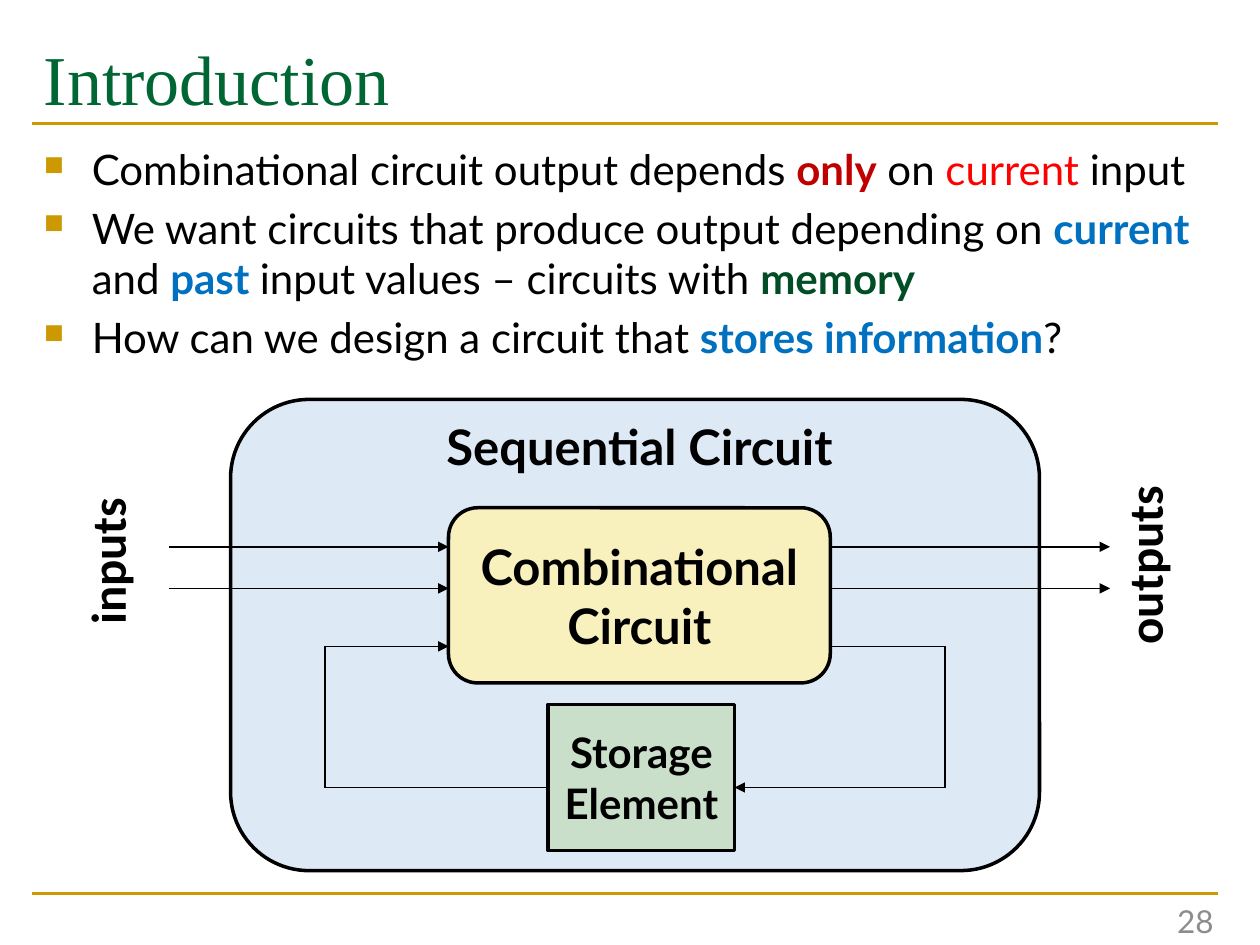
from pptx import Presentation
from pptx.dml.color import RGBColor
from pptx.enum.shapes import MSO_CONNECTOR, MSO_SHAPE
from pptx.enum.text import MSO_ANCHOR, PP_ALIGN
from pptx.oxml.ns import qn
from pptx.util import Inches, Pt
from lxml import etree

STRAIGHT = MSO_CONNECTOR.STRAIGHT
RECTANGLE, ROUNDED = MSO_SHAPE.RECTANGLE, MSO_SHAPE.ROUNDED_RECTANGLE
TOP, MIDDLE = MSO_ANCHOR.TOP, MSO_ANCHOR.MIDDLE
LEFT, CENTER, RIGHT = PP_ALIGN.LEFT, PP_ALIGN.CENTER, PP_ALIGN.RIGHT

BLACK = RGBColor(0x00, 0x00, 0x00)
GOLD = RGBColor(0xCC, 0x99, 0x00)
TITLE_GREEN = RGBColor(0x00, 0x66, 0x33)
DARK_GREEN = RGBColor(0x00, 0x4D, 0x26)
DARK_RED = RGBColor(0xC0, 0x00, 0x00)
RED = RGBColor(0xFF, 0x00, 0x00)
BLUE = RGBColor(0x00, 0x70, 0xC0)
GRAY = RGBColor(0x8C, 0x8C, 0x8C)
PALE_BLUE = RGBColor(0xDE, 0xE9, 0xF6)
PALE_YELLOW = RGBColor(0xF8, 0xF0, 0xBD)
PALE_GREEN = RGBColor(0xC9, 0xDF, 0xC9)

# Each run: text, colour, bold
BULLETS = [
    [("Combinational circuit output depends ", BLACK, False), ("only", DARK_RED, True),
     (" on ", BLACK, False), ("current", RED, False), (" input", BLACK, False)],
    [("We want circuits that produce output depending on ", BLACK, False),
     ("current ", BLUE, True), ("and ", BLACK, False), ("past ", BLUE, True),
     ("input values – circuits with ", BLACK, False), ("memory", DARK_GREEN, True)],
    [("How can we design a circuit that ", BLACK, False),
     ("stores information", BLUE, True), ("?", BLACK, False)],
]

# Boxes: left, top, width, height
SEQUENTIAL = (1.83, 3.17, 6.42, 3.74)
COMBINATIONAL = (3.56, 4.03, 3.03, 1.39)
STORAGE = (4.35, 5.59, 1.48, 1.16)
BLOCKS = [
    (ROUNDED, SEQUENTIAL, PALE_BLUE, "", 28),
    (ROUNDED, COMBINATIONAL, PALE_YELLOW, "Combinational\nCircuit", 28),
    (RECTANGLE, STORAGE, PALE_GREEN, "Storage\nElement", 24),
]
SIDE_LABELS = [("inputs", (0.22, 4.17, 1.25, 0.57)), ("outputs", (8.32, 4.2, 1.51, 0.57))]

RULE_LEFT, RULE_RIGHT = 0.25, 9.67
RULE_YS = (0.98, 7.09)
SIGNAL_YS = (4.34, 4.67)
SIGNAL_LENGTH = 2.22
FEEDBACK_Y, STORAGE_Y = 5.13, 6.25
FEEDBACK_LEFT, FEEDBACK_RIGHT = 2.58, 7.5


def set_text(shape, text, size, font_name, color, bold=False, align=LEFT, anchor=TOP, wrap=True):
    frame = shape.text_frame
    frame.text = text
    frame.word_wrap = wrap
    frame.vertical_anchor = anchor
    for paragraph in frame.paragraphs:
        paragraph.alignment = align
        format_font(paragraph.font, size, font_name, color, bold)


def format_font(font, size, name, color, bold):
    font.size, font.name, font.bold = Pt(size), name, bold
    font.color.rgb = color


def add_text(slide, box, *args, **kwargs):
    text_box = slide.shapes.add_textbox(*map(Inches, box))
    set_text(text_box, *args, **kwargs)
    return text_box


def add_bullet(paragraph):
    properties = paragraph._p.get_or_add_pPr()
    properties.set("marL", str(Inches(0.38)))
    properties.set("indent", str(-Inches(0.38)))
    color = etree.SubElement(properties, qn("a:buClr"))
    etree.SubElement(color, qn("a:srgbClr"), val=str(GOLD))
    etree.SubElement(properties, qn("a:buSzPct"), val="65000")
    etree.SubElement(properties, qn("a:buChar"), char="■")


def add_path(slide, points, color=BLACK, width=1, arrow=True):
    """Join the points with straight connectors; the last one may carry an arrowhead."""
    for start, end in zip(points, points[1:]):
        connector = slide.shapes.add_connector(STRAIGHT, *map(Inches, start + end))
        connector.line.color.rgb = color
        connector.line.width = Pt(width)
        if arrow and end == points[-1]:
            etree.SubElement(connector.line._get_or_add_ln(), qn("a:tailEnd"), type="triangle")
        etree.SubElement(connector._element.spPr, qn("a:effectLst"))


def add_bullets(slide):
    frame = slide.shapes.add_textbox(*map(Inches, (0.25, 1.09, 9.42, 5.68))).text_frame
    frame.word_wrap = True
    for index, runs in enumerate(BULLETS):
        paragraph = frame.add_paragraph() if index else frame.paragraphs[0]
        add_bullet(paragraph)
        if index:
            paragraph.space_before = Pt(4.8)
        for text, color, bold in runs:
            run = paragraph.add_run()
            run.text = text
            format_font(run.font, 24, "Lato", color, bold)


def add_diagram(slide):
    for kind, box, fill, text, size in BLOCKS:
        block = slide.shapes.add_shape(kind, *map(Inches, box))
        block.shadow.inherit = False
        block.fill.solid()
        block.fill.fore_color.rgb = fill
        block.line.color.rgb = BLACK
        block.line.width = Pt(2)
        if text:
            set_text(block, text, size, "Lato", BLACK, True, CENTER, MIDDLE, wrap=False)
    add_text(slide, (2.64, 3.26, 4.87, 0.66), "Sequential Circuit", 28, "Lato", BLACK, True, CENTER)

    for text, box in SIDE_LABELS:
        label = add_text(slide, box, text, 28, "Calibri", BLACK, True, CENTER)
        label.rotation = 270

    left = COMBINATIONAL[0]
    right = left + COMBINATIONAL[2]
    for y in SIGNAL_YS:
        add_path(slide, [(left - SIGNAL_LENGTH, y), (left, y)])
        add_path(slide, [(right, y), (right + SIGNAL_LENGTH, y)])

    storage_left = STORAGE[0]
    storage_right = storage_left + STORAGE[2]
    add_path(slide, [(right, FEEDBACK_Y), (FEEDBACK_RIGHT, FEEDBACK_Y),
                     (FEEDBACK_RIGHT, STORAGE_Y), (storage_right, STORAGE_Y)])
    add_path(slide, [(storage_left, STORAGE_Y), (FEEDBACK_LEFT, STORAGE_Y),
                     (FEEDBACK_LEFT, FEEDBACK_Y), (left, FEEDBACK_Y)])


def main():
    presentation = Presentation()
    presentation.slide_width, presentation.slide_height = Inches(10), Inches(7.5)
    slide = presentation.slides.add_slide(presentation.slide_layouts[6])

    for y in RULE_YS:
        add_path(slide, [(RULE_LEFT, y), (RULE_RIGHT, y)], GOLD, 1.5, arrow=False)
    title = add_text(slide, (0.25, 0.17, 9.42, 1.17), "Introduction", 40,
                     "Times New Roman", TITLE_GREEN)
    title.text_frame.margin_top = Inches(0.11)
    add_bullets(slide)
    add_text(slide, (7.48, 7.11, 2.25, 0.4), "28", 18, "Lato", GRAY, align=RIGHT, anchor=MIDDLE)
    add_diagram(slide)
    presentation.save("out.pptx")


if __name__ == "__main__":
    main()
